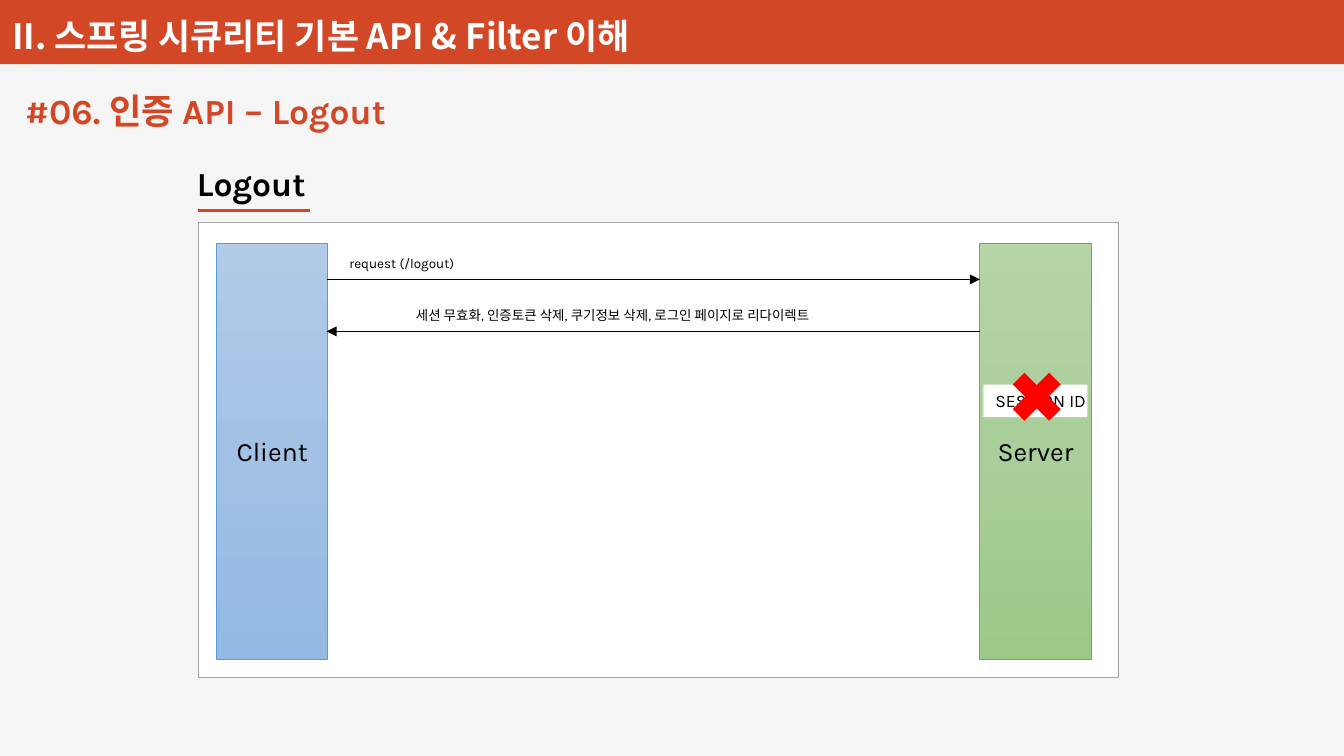
"""Build the logout sequence slide."""
from copy import deepcopy
from dataclasses import dataclass

from lxml.etree import SubElement
from pptx import Presentation
from pptx.dml.color import RGBColor
from pptx.enum.dml import MSO_LINE
from pptx.enum.shapes import MSO_CONNECTOR, MSO_SHAPE
from pptx.enum.text import MSO_ANCHOR, MSO_AUTO_SIZE, PP_ALIGN
from pptx.oxml.ns import qn
from pptx.shapes.autoshape import Shape
from pptx.slide import Slide
from pptx.util import Inches, Pt


@dataclass(frozen=True)
class Theme:
    accent: str = "D24726"
    background: str = "F5F5F5"
    white: str = "FFFFFF"
    black: str = "000000"
    border: str = "A5A5A5"
    cross: str = "FF0000"
    latin: str = "Karla"
    korean: str = "Noto Sans CJK KR"
    title: float = 20.8
    subtitle: float = 21
    heading: float = 20
    actor: float = 15.8
    session: float = 10.5
    message: float = 8
    hairline: float = 0.25
    thin: float = 0.5
    thick: float = 2.25


@dataclass(frozen=True)
class Box:
    left: float
    top: float
    width: float
    height: float


@dataclass(frozen=True)
class Label:
    text: str
    box: Box
    size: float
    color: str
    bold: bool = False


@dataclass(frozen=True)
class Actor:
    name: str
    left: float
    stops: tuple[str, str, str]
    border: str


@dataclass(frozen=True)
class Rule:
    start: float
    end: float
    top: float
    color: str
    weight: float
    arrow: bool = False


THEME = Theme()
CLIENT_EDGE, SERVER_EDGE = 2.7, 8.1
SLIDE_WIDTH, SLIDE_HEIGHT = 11.11, 6.25

LABELS = (
    Label("#06. 인증 API – Logout", Box(0.11, 0.69, 3.4, 0.45), THEME.subtitle, THEME.accent, True),
    Label("request (/logout)", Box(2.79, 2.06, 1.31, 0.35), THEME.message, THEME.black),
    Label("세션 무효화, 인증토큰 삭제, 쿠기정보 삭제, 로그인 페이지로 리다이렉트",
          Box(3.34, 2.49, 3.93, 0.22), THEME.message, THEME.black),
    Label("Logout", Box(1.53, 1.3, 1.2, 0.45), THEME.heading, THEME.black, True),
)
ACTORS = (
    Actor("Client", 1.79, ("B1CBE9", "A3C1E5", "93B9E4"), "5B9BD5"),
    Actor("Server", SERVER_EDGE, ("B5D5A7", "AACE9A", "9CC987"), "70AD47"),
)
RULES = (
    Rule(CLIENT_EDGE, SERVER_EDGE, 2.31, THEME.black, THEME.thin, True),
    Rule(SERVER_EDGE, CLIENT_EDGE, 2.74, THEME.black, THEME.thin, True),
    Rule(1.64, 2.56, 1.74, THEME.accent, THEME.thick),
)


def rgb(value: str) -> RGBColor:
    return RGBColor.from_string(value)


def inches(box: Box) -> tuple[Inches, Inches, Inches, Inches]:
    return Inches(box.left), Inches(box.top), Inches(box.width), Inches(box.height)


def write(shape: Shape, text: str, size: float, color: str, bold: bool = False,
          align: PP_ALIGN = PP_ALIGN.LEFT, latin: str = THEME.latin) -> None:
    frame = shape.text_frame
    frame.text = text
    para = frame.paragraphs[0]
    para.alignment = align
    font = para.font
    font.name, font.size, font.bold = latin, Pt(size), bold
    font.color.rgb = rgb(color)
    properties = para._p.pPr.find(qn("a:defRPr"))
    SubElement(properties, qn("a:ea")).set("typeface", THEME.korean)


def add_block(page: Slide, kind: MSO_SHAPE, box: Box, fill: str) -> Shape:
    shape = page.shapes.add_shape(kind, *inches(box))
    shape.shadow.inherit = False
    shape.fill.solid()
    shape.fill.fore_color.rgb = rgb(fill)
    shape.line.fill.background()
    return shape


def outline(shape: Shape, color: str, weight: float) -> None:
    shape.line.color.rgb = rgb(color)
    shape.line.width = Pt(weight)


def add_title(page: Slide, text: str) -> None:
    title = page.shapes.title
    title.left, title.top, title.width, title.height = inches(Box(0.01, -0.1, 6.17, 0.61))
    write(title, text, THEME.title, THEME.white, True, latin=THEME.korean)
    frame = title.text_frame
    frame.auto_size = MSO_AUTO_SIZE.NONE
    frame.vertical_anchor = MSO_ANCHOR.BOTTOM
    frame.margin_left = frame.margin_right = Inches(0.09)
    frame.margin_top = frame.margin_bottom = Inches(0.04)
    page.shapes._spTree.append(title._element)


def add_label(page: Slide, label: Label) -> None:
    shape = page.shapes.add_textbox(*inches(label.box))
    shape.text_frame.word_wrap = False
    write(shape, label.text, label.size, label.color, label.bold)


def add_actor(page: Slide, actor: Actor) -> None:
    shape = add_block(page, MSO_SHAPE.RECTANGLE, Box(actor.left, 2.01, 0.92, 3.44), THEME.white)
    outline(shape, actor.border, THEME.thin)
    shape.fill.gradient()
    shape.fill.gradient_angle = 270
    stop_list = shape._element.spPr.find(".//" + qn("a:gsLst"))
    stop_list.insert(1, deepcopy(stop_list[0]))
    for index, (stop, color) in enumerate(zip(shape.fill.gradient_stops, actor.stops)):
        stop.position = index / 2
        stop.color.rgb = rgb(color)
    write(shape, actor.name, THEME.actor, THEME.black, align=PP_ALIGN.CENTER)


def add_rule(page: Slide, rule: Rule) -> None:
    line = page.shapes.add_connector(MSO_CONNECTOR.STRAIGHT, Inches(rule.start), Inches(rule.top),
                                     Inches(rule.end), Inches(rule.top))
    line.line.color.rgb = rgb(rule.color)
    line.line.width = Pt(rule.weight)
    line.line.dash_style = MSO_LINE.SOLID
    if rule.arrow:
        SubElement(line.line._get_or_add_ln(), qn("a:tailEnd")).set("type", "triangle")
    SubElement(line._element.spPr, qn("a:effectLst"))


def main() -> None:
    deck = Presentation()
    deck.slide_width, deck.slide_height = Inches(SLIDE_WIDTH), Inches(SLIDE_HEIGHT)
    page = deck.slides.add_slide(deck.slide_layouts.get_by_name("Title Only"))
    page.background.fill.solid()
    page.background.fill.fore_color.rgb = rgb(THEME.background)

    add_block(page, MSO_SHAPE.RECTANGLE, Box(0, 0, SLIDE_WIDTH, 0.53), THEME.accent)
    add_title(page, "II. 스프링 시큐리티 기본 API & Filter 이해")
    panel = add_block(page, MSO_SHAPE.RECTANGLE, Box(1.64, 1.84, 7.6, 3.76), THEME.white)
    outline(panel, THEME.border, THEME.hairline)

    for actor in ACTORS:
        add_actor(page, actor)
    for rule in RULES:
        add_rule(page, rule)
    for label in LABELS:
        add_label(page, label)

    session = add_block(page, MSO_SHAPE.RECTANGLE, Box(8.13, 3.18, 0.86, 0.27), THEME.white)
    session.text_frame.word_wrap = False
    write(session, "SESSION ID", THEME.session, THEME.black)
    add_block(page, MSO_SHAPE.MATH_MULTIPLY, Box(8.28, 2.99, 0.58, 0.58), THEME.cross)

    deck.save("out.pptx")


if __name__ == "__main__":
    main()
